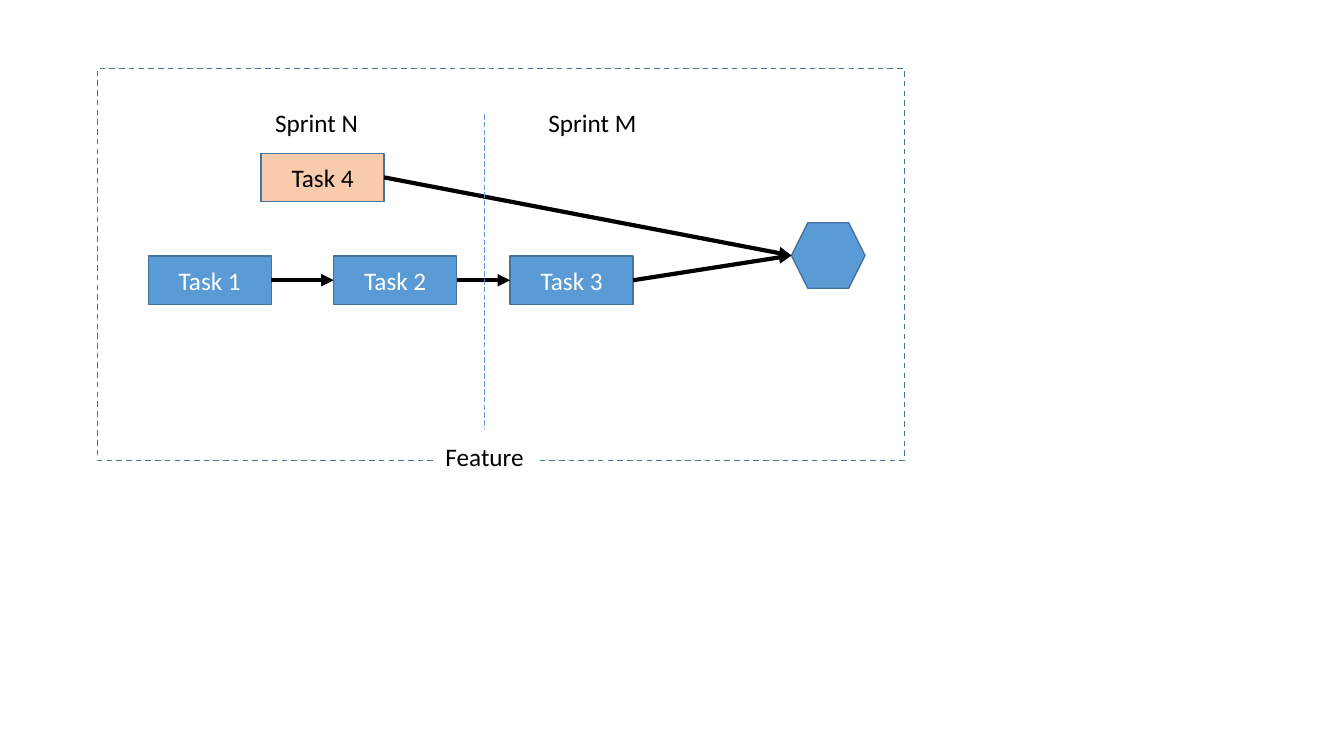
from pptx import Presentation, util as u
from pptx.dml.color import RGBColor
from pptx.enum import dml, shapes, text
from pptx.oxml.ns import qn
from lxml import etree

BLUE = RGBColor(0x5B, 0x9B, 0xD5)
EDGE = RGBColor(0x43, 0x73, 0x9E)
PEACH = RGBColor(0xF8, 0xCB, 0xAD)
WHITE = RGBColor(0xFF, 0xFF, 0xFF)
BLACK = RGBColor(0, 0, 0)
KIND = shapes.MSO_SHAPE
DASH = dml.MSO_LINE
ALIGN = text.PP_ALIGN
COLS, ROWS = 13.33, 7.5  # grid of one-inch cells
TASK_W, TASK_H = 1.22, 0.48
TASK_ROW, TOP_ROW = 2.54, 1.52


class Board:
    """Holds the style and the current slide."""

    def __init__(self, deck, font="Calibri", size=18):
        """Add a blank slide to the deck and set its type style."""
        self.slide = deck.slides.add_slide(deck.slide_layouts[6])
        self.cell = deck.slide_width / COLS
        self.font, self.size = font, u.Pt(size)

    def grid(self, *cells):
        """Turn grid cells into slide lengths."""
        return [round(c * self.cell) for c in cells]

    def say(self, shape, words, color, align):
        """Put one run of text in a shape."""
        frame = shape.text_frame
        frame.word_wrap = True
        para = frame.paragraphs[0]
        para.alignment = align
        run = para.add_run()
        run.text = words
        run.font.name, run.font.size = self.font, self.size
        run.font.color.rgb = color

    def shape(self, kind, place, fill=None, edge=EDGE, dash=None):
        """Draw a preset shape, hollow or without edge if asked."""
        item = self.slide.shapes.add_shape(kind, *self.grid(*place))
        item.shadow.inherit = False
        if fill is None:
            item.fill.background()
        else:
            item.fill.solid()
            item.fill.fore_color.rgb = fill
        if edge is None:
            item.line.fill.background()
        else:
            item.line.color.rgb = edge
            item.line.width = u.Pt(1)
            item.line.dash_style = dash
        return item

    def task(self, words, col, row, fill=BLUE, color=WHITE):
        """Draw a task box with centred text."""
        box = self.shape(KIND.RECTANGLE, (col, row, TASK_W, TASK_H), fill)
        box.text_frame.vertical_anchor = text.MSO_ANCHOR.MIDDLE
        self.say(box, words, color, ALIGN.CENTER)
        return box

    def label(self, words, col, row):
        """Add a plain text label."""
        place = self.grid(col, row, TASK_W, 0.4)
        box = self.slide.shapes.add_textbox(*place)
        self.say(box, words, BLACK, ALIGN.LEFT)

    def line(self, ends, color, width):
        """Draw a straight line without shadow between two points."""
        item = self.slide.shapes.add_connector(
            shapes.MSO_CONNECTOR.STRAIGHT, *ends)
        item.line.color.rgb = color
        item.line.width = u.Pt(width)
        etree.SubElement(item.element.spPr, qn("a:effectLst"))
        return item

    def link(self, start, end):
        """Draw an arrow from the right of one shape to the left of another."""
        ends = (start.left + start.width, start.top + start.height // 2,
                end.left, end.top + end.height // 2)
        item = self.line(ends, BLACK, 3)
        item.begin_connect(start, 3)
        if end.auto_shape_type == KIND.RECTANGLE:
            item.end_connect(end, 1)
        stroke = item.element.spPr.find(qn("a:ln"))
        etree.SubElement(stroke, qn("a:tailEnd")).set("type", "triangle")


def main():
    """Build the sprint and feature diagram."""
    deck = Presentation()
    deck.slide_width, deck.slide_height = u.Inches(COLS), u.Inches(ROWS)
    board = Board(deck)

    chain = [board.task(f"Task {n}", col, TASK_ROW)
             for n, col in enumerate((1.47, 3.31, 5.06), 1)]
    extra = board.task("Task 4", 2.59, TOP_ROW, PEACH, BLACK)
    goal = board.shape(KIND.HEXAGON, (7.85, 2.21, 0.73, 0.65), BLUE)
    chain.append(goal)
    for start, end in [*zip(chain, chain[1:]), (extra, goal)]:
        board.link(start, end)

    split = board.line(board.grid(4.8, 1.13, 4.8, 4.26), BLUE, 0.5)
    split.line.dash_style = DASH.LONG_DASH
    for name, col in (("Sprint M", 5.34), ("Sprint N", 2.63)):
        board.label(name, col, 1.02)

    board.shape(KIND.RECTANGLE, (0.97, 0.68, 8, 3.89), dash=DASH.DASH)
    tag = board.shape(KIND.RECTANGLE, (4.32, 4.33, 1.02, 0.4), WHITE, None)
    board.say(tag, "Feature", BLACK, ALIGN.LEFT)
    deck.save("out.pptx")


main()
